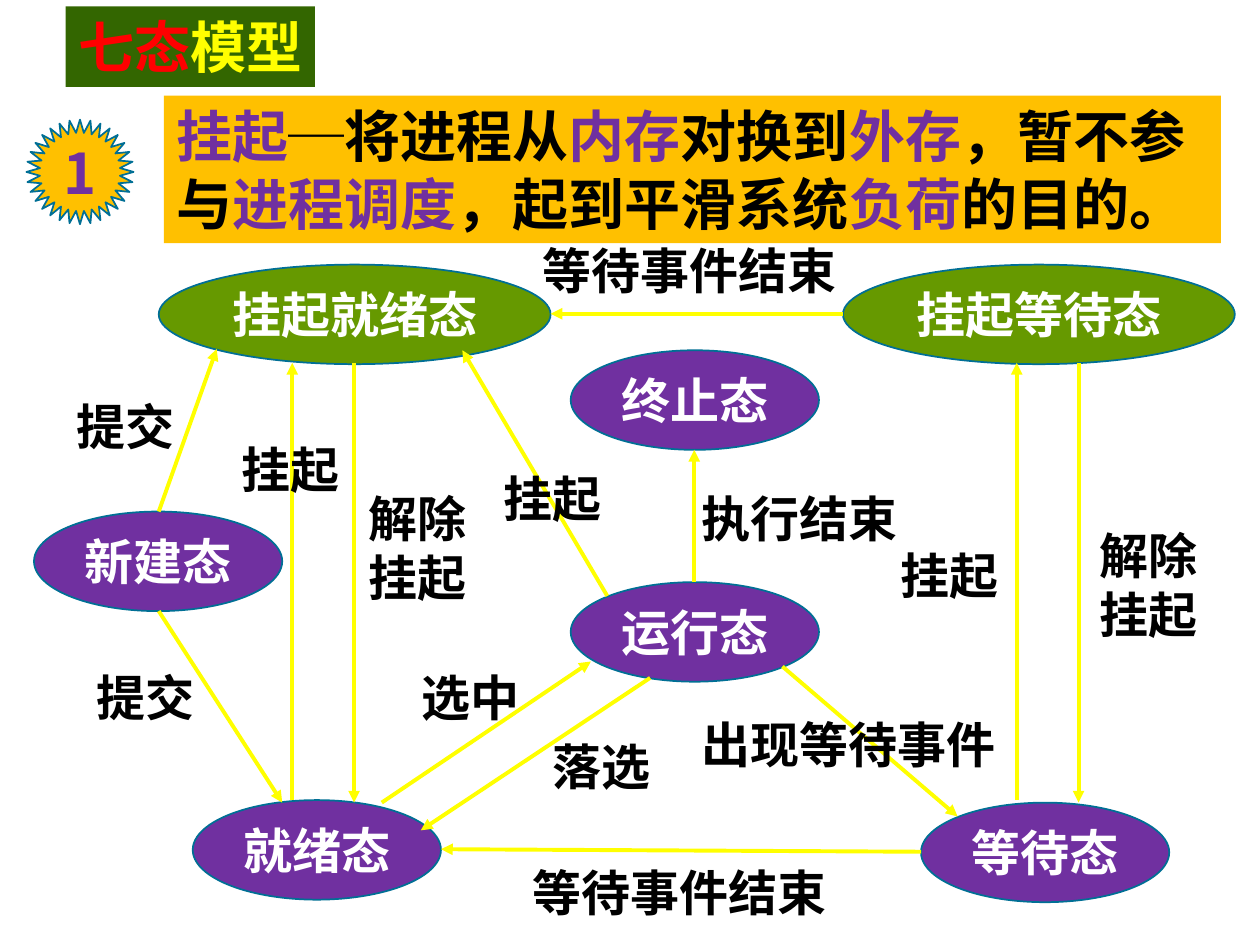
from lxml import etree
from pptx import Presentation
from pptx import util as u
from pptx.dml.color import RGBColor
from pptx.enum import shapes, text
from pptx.oxml.ns import qn

PX = 9144  # EMU in one px, 100 px to the inch

FONT = "Noto Sans CJK SC"
BLACK = RGBColor(0x00, 0x00, 0x00)
WHITE = RGBColor(0xFF, 0xFF, 0xFF)
RED = RGBColor(0xFF, 0x00, 0x00)
YELLOW = RGBColor(0xFF, 0xFF, 0x00)
AMBER = RGBColor(0xFF, 0xC0, 0x00)
PURPLE = RGBColor(0x70, 0x30, 0xA0)
GREEN = RGBColor(0x66, 0x99, 0x00)
DARK_GREEN = RGBColor(0x33, 0x66, 0x00)
TEAL = RGBColor(0x00, 0x6F, 0x95)

STATE_SIZE = (197, 79)
SUSPENDED_SIZE = (311, 79)

# name, left, top, size, fill
STATES = [
    ("就绪态", 153, 635, STATE_SIZE, PURPLE),
    ("等待态", 731, 637, STATE_SIZE, PURPLE),
    ("运行态", 453, 462, STATE_SIZE, PURPLE),
    ("新建态", 27, 406, STATE_SIZE, PURPLE),
    ("终止态", 453, 278, STATE_SIZE, PURPLE),
    ("挂起就绪态", 126, 210, SUSPENDED_SIZE, GREEN),
    ("挂起等待态", 669, 210, SUSPENDED_SIZE, GREEN),
]

# start x, start y, end x, end y, label, label left, top, width, height
TRANSITIONS = [
    (303, 637, 469, 525, "选中", 325, 525, 104, 57),
    (516, 538, 334, 659, "落选", 429, 580, 104, 57),
    (731, 676, 350, 674, "等待事件结束", 413, 680, 260, 57),
    (621, 529, 760, 648, "出现等待事件", 547, 562, 260, 57),
    (126, 485, 224, 637, "提交", 67, 525, 101, 57),
    (551, 462, 551, 357, "执行结束", 547, 383, 181, 57),
    (126, 406, 172, 277, "提交", 51, 310, 101, 57),
    (232, 635, 232, 288, "挂起", 182, 344, 101, 57),
    (281, 288, 281, 637, "解除挂起", 283, 383, 101, 104),
    (482, 473, 367, 278, "挂起", 390, 367, 101, 57),
    (669, 249, 437, 249, "等待事件结束", 421, 186, 260, 57),
    (807, 635, 807, 288, "挂起", 705, 428, 101, 57),
    (856, 288, 856, 637, "解除挂起", 863, 412, 101, 104),
]

DEFINITION = [
    ("挂起", PURPLE, FONT),
    ("─", BLACK, "Arial"),
    ("将进程从", BLACK, FONT),
    ("内存", PURPLE, FONT),
    ("对换到", BLACK, FONT),
    ("外存", PURPLE, FONT),
    ("，暂不参与", BLACK, FONT),
    ("进程调度", PURPLE, FONT),
    ("，起到平滑系统", BLACK, FONT),
    ("负荷", PURPLE, FONT),
    ("的目的。", BLACK, FONT),
]


def lengths(*values):
    return [u.Emu(value * PX) for value in values]


def write(box, spans, size, align=text.PP_ALIGN.LEFT, anchor=text.MSO_ANCHOR.TOP, wrap=True):
    """Fill the box with one paragraph of (wording, colour, Latin font) spans."""
    frame = box.text_frame
    frame.word_wrap = wrap
    frame.auto_size = text.MSO_AUTO_SIZE.NONE
    frame.vertical_anchor = anchor
    para = frame.paragraphs[0]
    para.alignment = align
    for wording, colour, font in spans:
        span = para.add_run()
        span.text = wording
        span.font.size = u.Pt(size)
        span.font.bold = True
        span.font.name = font
        span.font.color.rgb = colour
        east_asian = etree.SubElement(span.font._element, qn("a:ea"))
        east_asian.set("typeface", FONT)


def add_title(page):
    title = page.shapes.title
    title.left, title.top, title.width, title.height = lengths(52, 5, 198, 64)
    title.fill.solid()
    title.fill.fore_color.rgb = DARK_GREEN
    write(title, [("七态", RED, FONT), ("模型", YELLOW, FONT)], 32, wrap=False)
    title.text_frame.margin_right = 0  # room for all four characters on one line


def add_filled(page, kind, bounds, fill, outline=None):
    shape = page.shapes.add_shape(kind, *lengths(*bounds))
    shape.shadow.inherit = False
    shape.fill.solid()
    shape.fill.fore_color.rgb = fill
    if outline is None:
        shape.line.fill.background()
    else:
        shape.line.color.rgb = outline
        shape.line.width = u.Pt(1)
    return shape


def add_state(page, name, left, top, size, fill):
    oval = add_filled(page, shapes.MSO_SHAPE.OVAL, (left, top, *size), fill, TEAL)
    write(oval, [(name, WHITE, FONT)], 28, text.PP_ALIGN.CENTER, text.MSO_ANCHOR.MIDDLE)


def add_arrow(page, *ends):
    arrow = page.shapes.add_connector(shapes.MSO_CONNECTOR.STRAIGHT, *lengths(*ends))
    arrow.line.color.rgb = YELLOW
    arrow.line.width = u.Pt(2.25)
    etree.SubElement(arrow.line._get_or_add_ln(), qn("a:tailEnd"), type="triangle")
    etree.SubElement(arrow._element.spPr, qn("a:effectLst"))


def add_label(page, wording, *bounds):
    box = page.shapes.add_textbox(*lengths(*bounds))
    write(box, [(wording, BLACK, FONT)], 28)


def add_definition(page):
    panel = add_filled(page, shapes.MSO_SHAPE.RECTANGLE, (130, 76, 839, 117), AMBER)
    write(panel, DEFINITION, 32)
    badge = add_filled(page, shapes.MSO_SHAPE.STAR_32_POINT, (21, 95, 85, 83), AMBER, TEAL)
    write(badge, [("1", PURPLE, FONT)], 32, text.PP_ALIGN.CENTER, text.MSO_ANCHOR.MIDDLE)


def main():
    deck = Presentation()
    deck.slide_width, deck.slide_height = lengths(1000, 750)
    page = deck.slides.add_slide(deck.slide_layouts[5])
    add_title(page)
    for state in STATES:
        add_state(page, *state)
    for transition in TRANSITIONS:
        add_arrow(page, *transition[:4])
        add_label(page, *transition[4:])
    add_definition(page)
    deck.save("out.pptx")


if __name__ == "__main__":
    main()
